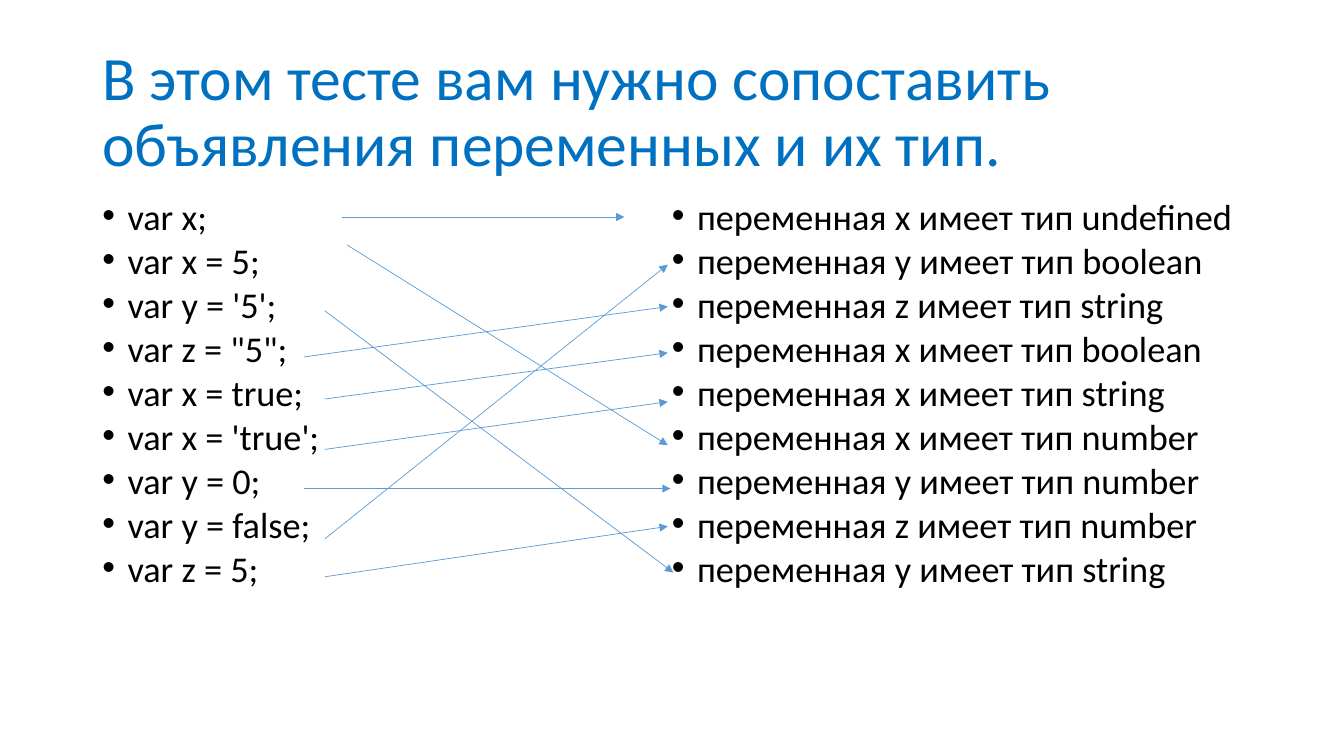
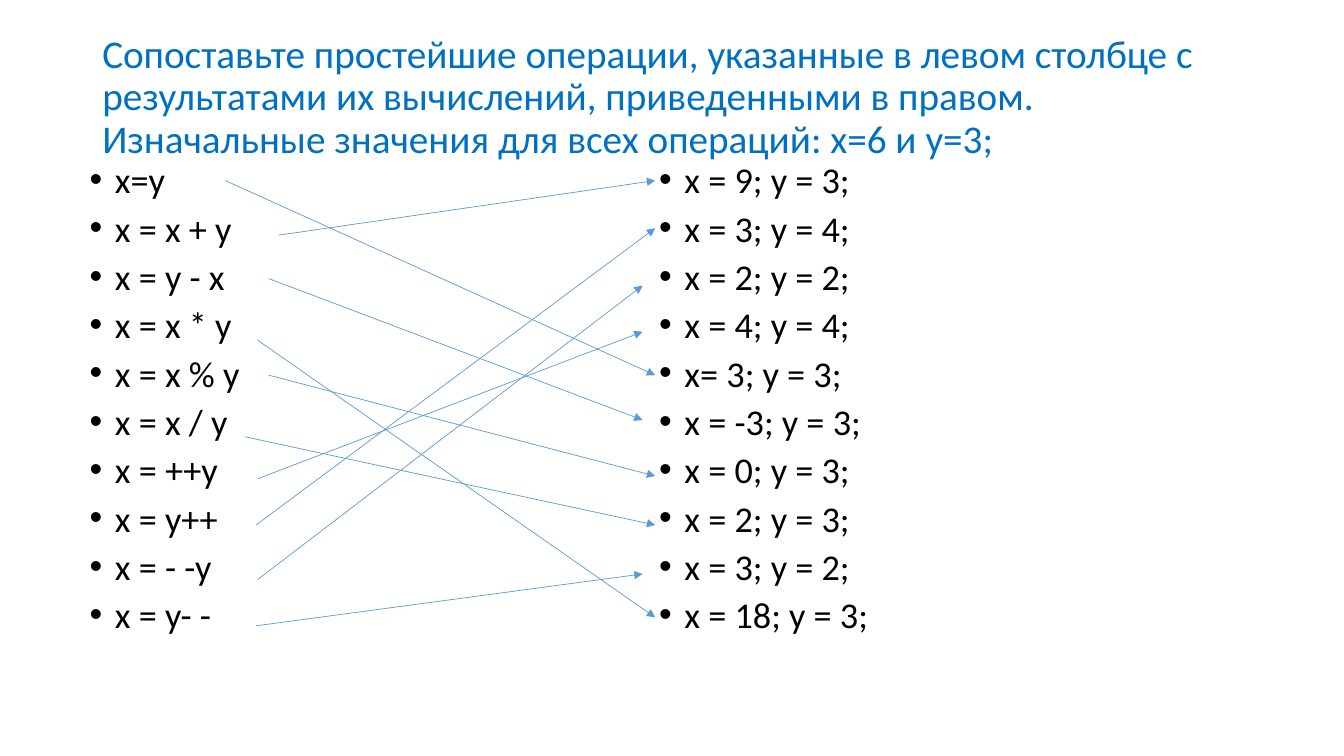
from dataclasses import dataclass

from lxml.etree import SubElement
from pptx import Presentation
from pptx.dml.color import RGBColor
from pptx.enum.shapes import MSO_CONNECTOR
from pptx.enum.text import MSO_ANCHOR
from pptx.oxml.ns import qn
from pptx.util import Pt


@dataclass(frozen=True)
class Theme:
    font: str = "Calibri"
    title_color: str = "0070C0"
    text_color: str = "000000"
    arrow_color: str = "5B9BD5"
    title_size: float = 44
    long_title_size: float = 28
    list_size: float = 25.9
    title_spacing: float = 0.9
    list_gap: float = 9.65
    bullet_indent: float = 18
    arrow_width: float = 0.5
    block_width: float = 828
    inset: float = 7.2


THEME = Theme()

TYPES_LEFT = [
    "var x;",
    "var x = 5;",
    "var y = '5';",
    'var z = "5";',
    "var x = true;",
    "var x = 'true';",
    "var y = 0;",
    "var y = false;",
    "var z = 5;",
]
TYPES_RIGHT = [
    f"переменная {name} имеет тип {kind}"
    for name, kind in [
        ("х", "undefined"),
        ("y", "boolean"),
        ("z", "string"),
        ("х", "boolean"),
        ("х", "string"),
        ("х", "number"),
        ("y", "number"),
        ("z", "number"),
        ("y", "string"),
    ]
]
# Arrows: start x, start y, end x, end y, in points.
TYPES_ARROWS = [
    (244, 155, 446, 155),
    (248, 175, 477, 318),
    (232, 222, 481, 409),
    (217, 255, 477, 219),
    (232, 285, 477, 252),
    (232, 321, 477, 287),
    (217, 349, 479, 349),
    (232, 385, 477, 189),
    (232, 412, 477, 376),
]

OPERATIONS_LEFT = [
    "x=y",
    "x = x + y",
    "x = y - x",
    "x = x * y",
    "x = x % y",
    "x = x / y",
    "x = ++y",
    "x = y++",
    "x = - -y",
    "x = y- -",
]
OPERATIONS_RIGHT = [
    "x = 9; y = 3;",
    "x = 3; y = 4;",
    "x = 2; y = 2;",
    "x = 4; y = 4;",
    "x= 3; y = 3;",
    "x = -3; y = 3;",
    "x = 0; y = 3;",
    "x = 2; y = 3;",
    "x = 3; y = 2;",
    "x = 18; y = 3;",
]
OPERATIONS_ARROWS = [
    (161, 129, 468, 268),
    (199, 168, 468, 129),
    (192, 199, 459, 300),
    (184, 243, 468, 441),
    (192, 268, 468, 340),
    (175, 312, 468, 375),
    (184, 342, 459, 237),
    (183, 375, 468, 163),
    (184, 414, 459, 204),
    (183, 447, 459, 410),
]


def write(paragraph, text, *, size, color, line_spacing, space_before=0):
    paragraph.line_spacing = line_spacing
    paragraph.space_before = Pt(space_before)
    run = paragraph.add_run()
    run.text = text
    run.font.name = THEME.font
    run.font.size = Pt(size)
    run.font.color.rgb = RGBColor.from_string(color)


def add_bullet(paragraph):
    properties = paragraph._p.get_or_add_pPr()
    indent = Pt(THEME.bullet_indent)
    properties.set("marL", str(indent))
    properties.set("indent", str(-indent))
    SubElement(properties, qn("a:buFont"), typeface="Arial")
    SubElement(properties, qn("a:buChar"), char="•")


class MatchingDeck:
    """Builds slides that pair two lists with arrows."""

    def __init__(self):
        self.presentation = Presentation()
        self.presentation.slide_width = Pt(960)
        self.presentation.slide_height = Pt(540)
        self.slide = None

    def add_slide(self):
        self.slide = self.presentation.slides.add_slide(self.presentation.slide_layouts[6])

    def add_text_frame(self, left, top, width, height, anchor=MSO_ANCHOR.TOP):
        shape = self.slide.shapes.add_textbox(Pt(left), Pt(top), Pt(width), Pt(height))
        frame = shape.text_frame
        frame.word_wrap = True
        frame.vertical_anchor = anchor
        return frame

    def add_title(self, text, top, height, size):
        frame = self.add_text_frame(66, top, THEME.block_width, height, MSO_ANCHOR.MIDDLE)
        write(frame.paragraphs[0], text, size=size, color=THEME.title_color,
              line_spacing=THEME.title_spacing)

    def add_list(self, items, left, top, width, height, line_spacing):
        frame = self.add_text_frame(left, top, width, height)
        for index, item in enumerate(items):
            paragraph = frame.add_paragraph() if index else frame.paragraphs[0]
            write(paragraph, item, size=THEME.list_size, color=THEME.text_color,
                  line_spacing=line_spacing, space_before=THEME.list_gap if index else 0)
            add_bullet(paragraph)

    def add_columns(self, columns, left, top, height, line_spacing):
        step = THEME.block_width / 2 - THEME.inset
        for index, items in enumerate(columns):
            self.add_list(items, left + index * step, top, step + 2 * THEME.inset,
                          height, line_spacing)

    def add_arrow(self, *ends):
        connector = self.slide.shapes.add_connector(
            MSO_CONNECTOR.STRAIGHT, *(Pt(value) for value in ends))
        connector.line.color.rgb = RGBColor.from_string(THEME.arrow_color)
        connector.line.width = Pt(THEME.arrow_width)
        SubElement(connector.line._get_or_add_ln(), qn("a:tailEnd"), type="triangle")
        SubElement(connector._element.spPr, qn("a:effectLst"))

    def add_arrows(self, arrows):
        for ends in arrows:
            self.add_arrow(*ends)


def main():
    deck = MatchingDeck()

    deck.add_slide()
    deck.add_title("В этом тесте вам нужно сопоставить объявления переменных и их тип.",
                   top=28.75, height=104.4, size=THEME.title_size)
    deck.add_columns([TYPES_LEFT, TYPES_RIGHT], left=66, top=144, height=353,
                     line_spacing=0.7)
    deck.add_arrows(TYPES_ARROWS)

    deck.add_slide()
    deck.add_title("Сопоставьте простейшие операции, указанные в левом столбце с "
                   " результатами их вычислений, приведенными в правом. "
                   "Изначальные значения для всех операций: х=6 и y=3;",
                   top=0, height=140, size=THEME.long_title_size)
    deck.add_columns([OPERATIONS_LEFT, OPERATIONS_RIGHT], left=57, top=115, height=409,
                     line_spacing=0.8)
    deck.add_arrows(OPERATIONS_ARROWS)

    deck.presentation.save("out.pptx")


if __name__ == "__main__":
    main()
